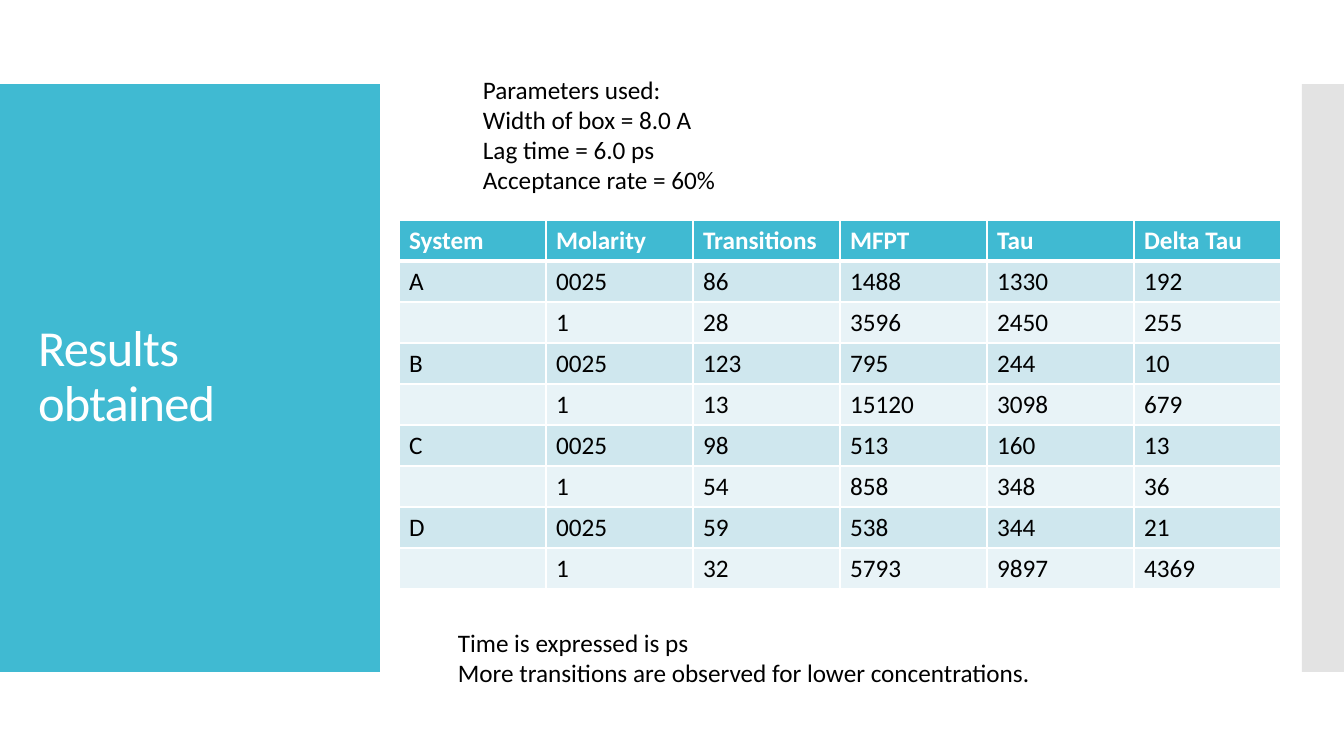
from lxml.etree import SubElement
from pptx import Presentation
from pptx.dml.color import RGBColor
from pptx.enum.shapes import MSO_SHAPE as Shape
from pptx.enum.text import MSO_ANCHOR as Anchor, MSO_AUTO_SIZE as AutoSize, PP_ALIGN as Align
from pptx.oxml.ns import qn
from pptx.util import Pt

EMU_PER_PX = 914400 / 100.8
TEAL, WHITE, BLACK = "40BAD2", "FFFFFF", "000000"
BANDS = ["CFE7EE", "E8F3F7"]
PANEL_TOP, PANEL_HEIGHT = 84, 588

RESULTS = [
    ["System", "Molarity", "Transitions", "MFPT", "Tau", "Delta Tau"],
    ["A", "0025", "86", "1488", "1330", "192"],
    ["", "1", "28", "3596", "2450", "255"],
    ["B", "0025", "123", "795", "244", "10"],
    ["", "1", "13", "15120", "3098", "679"],
    ["C", "0025", "98", "513", "160", "13"],
    ["", "1", "54", "858", "348", "36"],
    ["D", "0025", "59", "538", "344", "21"],
    ["", "1", "32", "5793", "9897", "4369"],
]
PARAMETERS = ["Parameters used:", "Width of box = 8.0 A", "Lag time = 6.0 ps", "Acceptance rate = 60%"]
REMARKS = ["Time is expressed is ps", "More transitions are observed for lower concentrations."]


def px(*lengths):
    return [round(length * EMU_PER_PX) for length in lengths]


def color(value):
    return RGBColor.from_string(value)


def set_values(target, values):
    for name, value in values.items():
        setattr(target, name, value)


class SlideBuilder:
    font = "Calibri"

    def __init__(self, page):
        self.page = page

    def span(self, para, text, size=18, ink=BLACK, bold=False):
        span = para.add_run()
        span.text = text
        set_values(span.font, {"name": self.font, "size": Pt(size), "bold": bold})
        span.font.color.rgb = color(ink)

    def panel(self, left, width, fill, alpha=None):
        box = self.page.shapes.add_shape(Shape.RECTANGLE, *px(left, PANEL_TOP, width, PANEL_HEIGHT))
        box.shadow.inherit = False
        box.fill.solid()
        box.fill.fore_color.rgb = color(fill)
        box.line.fill.background()
        if alpha:
            tint = box.element.spPr.find(qn("a:solidFill"))[0]
            SubElement(tint, qn("a:alpha"), val=str(alpha * 1000))

    def title(self, text, *place):
        title = self.page.shapes.title
        self.page.shapes.element.append(title.element)
        set_values(title, dict(zip(["left", "top", "width", "height"], px(*place))))
        set_values(title.text_frame, {
            "word_wrap": True, "auto_size": AutoSize.NONE, "vertical_anchor": Anchor.MIDDLE})
        para = title.text_frame.paragraphs[0]
        set_values(para, {"alignment": Align.LEFT, "line_spacing": 0.9})
        self.span(para, text, 36, WHITE)
        for properties in title.element.iter(qn("a:rPr")):
            properties.set("spc", "-60")

    def text(self, lines, *place):
        frame = self.page.shapes.add_textbox(*px(*place)).text_frame
        set_values(frame, {"word_wrap": True, "auto_size": AutoSize.SHAPE_TO_FIT_TEXT})
        for index, line in enumerate(lines):
            para = frame.add_paragraph() if index else frame.paragraphs[0]
            self.span(para, line)

    def borders(self, cell, widths):
        properties = cell._tc.get_or_add_tcPr()
        for side, width in zip("LRTB", widths):
            edge = SubElement(properties, qn(f"a:ln{side}"), w=str(int(Pt(width))))
            SubElement(SubElement(edge, qn("a:solidFill")), qn("a:srgbClr"), val=WHITE)

    def table(self, rows, left, top, column_width, row_height):
        columns = len(rows[0])
        place = px(left, top, column_width * columns, row_height * len(rows))
        table = self.page.shapes.add_table(len(rows), columns, *place).table
        for row_index, row in enumerate(rows):
            header = row_index == 0
            fill = TEAL if header else BANDS[(row_index - 1) % 2]
            widths = [1, 1, 3 if row_index == 1 else 1, 3 if header else 1]
            for column_index, text in enumerate(row):
                cell = table.cell(row_index, column_index)
                self.borders(cell, widths)
                cell.fill.solid()
                cell.fill.fore_color.rgb = color(fill)
                if text:
                    para = cell.text_frame.paragraphs[0]
                    self.span(para, text, ink=WHITE if header else BLACK, bold=header)


def main():
    deck = Presentation()
    deck.slide_width, deck.slide_height = px(1344, 756)
    slide = SlideBuilder(deck.slides.add_slide(deck.slide_layouts[5]))
    slide.panel(0, 380, TEAL)
    slide.panel(1302, 42, "C8C8C8", alpha=50)
    slide.title("Results obtained", 28, 124, 325, 507)
    slide.table(RESULTS, 399, 220, 147, 41)
    slide.text(PARAMETERS, 473, 69, 302, 132)
    slide.text(REMARKS, 448, 622, 754, 72)
    deck.save("out.pptx")


if __name__ == "__main__":
    main()
